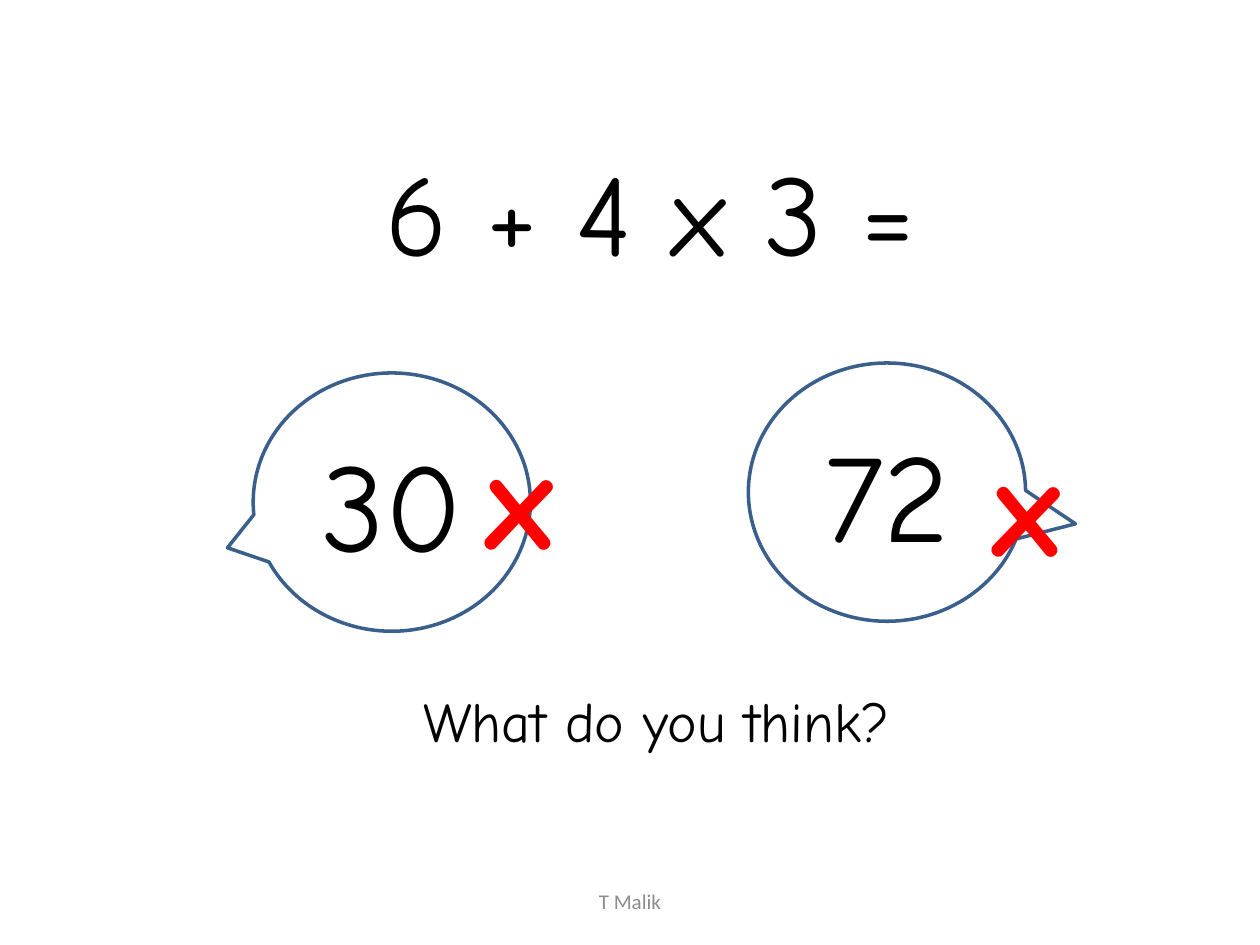
import pptx
import pptx.util
import pptx.dml.color
import pptx.enum.shapes
import pptx.enum.text
import pptx.oxml

Pt = pptx.util.Pt
RGB = pptx.dml.color.RGBColor
BLACK = RGB(0x00, 0x00, 0x00)
WHITE = RGB(0xFF, 0xFF, 0xFF)
RED = RGB(0xFF, 0x00, 0x00)
BLUE = RGB(0x3A, 0x5F, 0x8C)
GREY = RGB(0x8C, 0x8C, 0x8C)
HAND = "Comic Neue"
MIDDLE = pptx.enum.text.MSO_ANCHOR.MIDDLE
EDGE = (
    '<a:ln xmlns:a="http://schemas.openxmlformats.org/drawingml/2006/main" w="19050">'
    '<a:solidFill><a:srgbClr val="000000"/></a:solidFill></a:ln>'
)


def write(shape, text, size, color=BLACK, face=HAND):
    """Put one centred line of text in a shape and return its run."""
    frame = shape.text_frame
    frame.word_wrap = True
    frame.text = text
    line = frame.paragraphs[0]
    line.alignment = pptx.enum.text.PP_ALIGN.CENTER
    run = line.runs[0]
    run.font.name = face
    run.font.size = Pt(size)
    run.font.color.rgb = color
    return run


def add_text(left, top, width, height, *style):
    """Add a text box and return it with its run."""
    box = slide.shapes.add_textbox(Pt(left), Pt(top), Pt(width), Pt(height))
    return box, write(box, *style)


deck = pptx.Presentation()
deck.slide_width, deck.slide_height = Pt(720), Pt(540)
slide = deck.slides.add_slide(deck.slide_layouts[6])

# Sum
add_text(99.4, 77, 544.3, 87.1, "6 + 4 x 3 =", 66)

# Speech bubbles with the two answers
for left, top, tip, answer in (
    (144.7, 213.1, (-0.593, 0.177), "30"),
    (427.7, 207.4, (0.68, 0.123), "72"),
):
    bubble = slide.shapes.add_shape(
        pptx.enum.shapes.MSO_SHAPE.OVAL_CALLOUT,
        Pt(left), Pt(top), Pt(158.4), Pt(147.6))
    bubble.adjustments[0], bubble.adjustments[1] = tip
    bubble.shadow.inherit = False
    bubble.fill.solid()
    bubble.fill.fore_color.rgb = WHITE
    bubble.line.color.rgb = BLUE
    bubble.line.width = Pt(2)
    bubble.text_frame.vertical_anchor = MIDDLE
    write(bubble, answer, 72)

# Red crosses, with outlined letters
for left, top in ((263.5, 230.4), (553, 234.7)):
    box, cross = add_text(left, top, 67.7, 104.4, "x", 80, RED)
    cross.font.bold = True
    cross.font._element.insert(0, pptx.oxml.parse_xml(EDGE))

# Question
add_text(103, 388.8, 544.3, 46.1, "What do you think?", 32)

# Footer
foot, name = add_text(246, 500.4, 228, 28.8, "T Malik", 12, GREY, "Calibri")
foot.text_frame.vertical_anchor = MIDDLE

deck.save("out.pptx")
